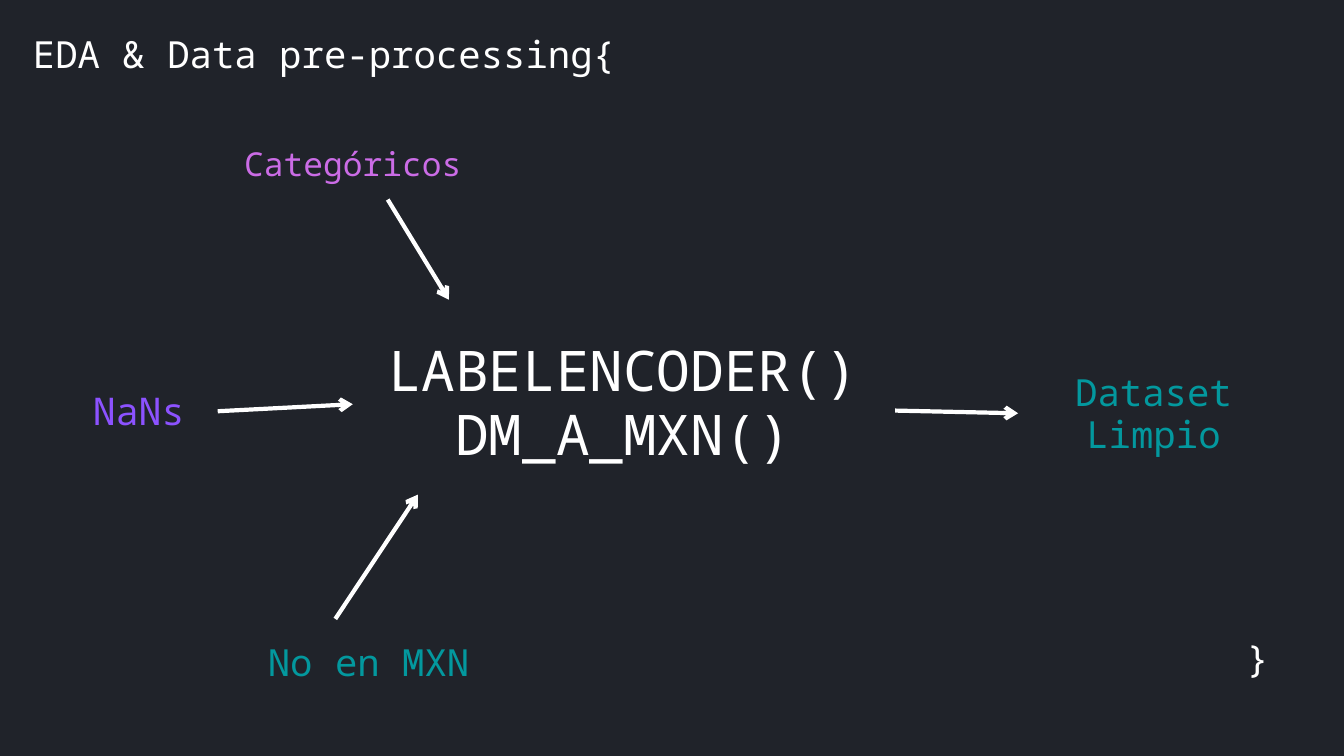
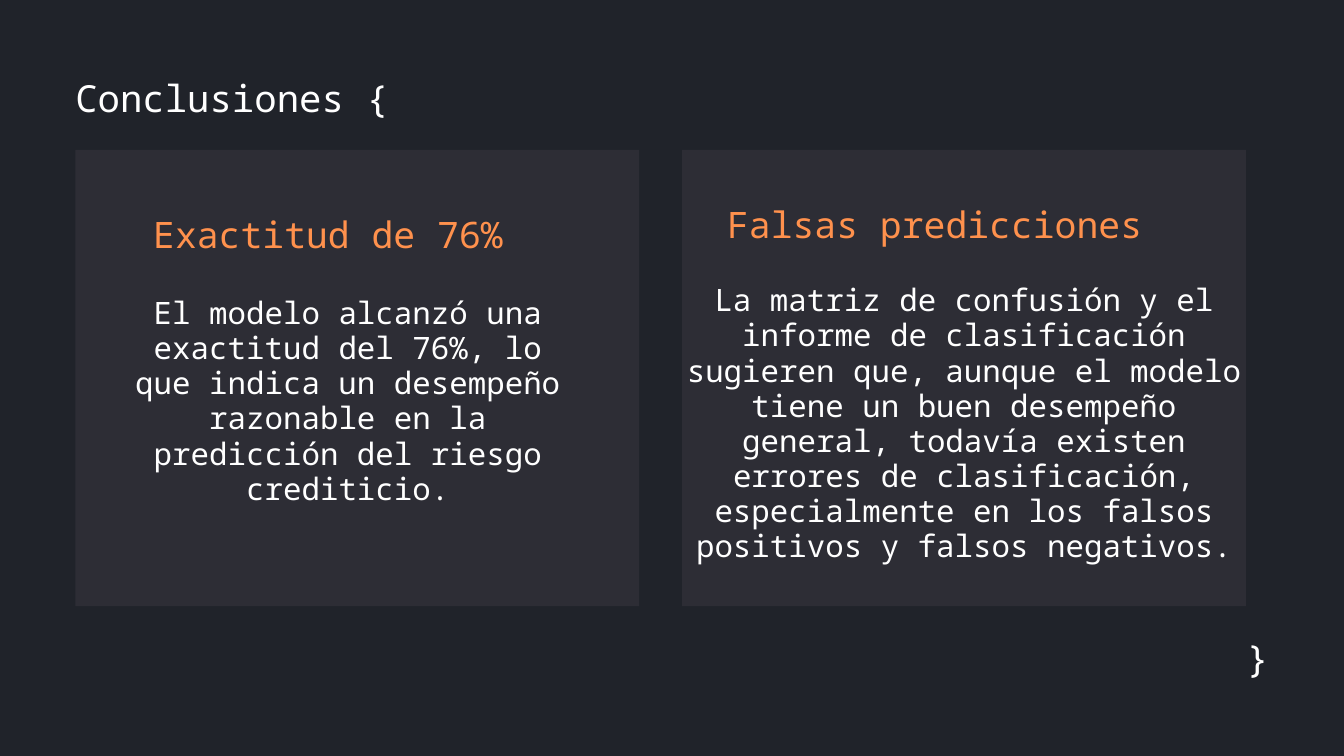
import pptx
import pptx.util
from lxml import etree
from pptx.dml.color import RGBColor
from pptx.enum.shapes import MSO_CONNECTOR, MSO_SHAPE
from pptx.enum.text import MSO_ANCHOR, MSO_AUTO_SIZE, PP_ALIGN
from pptx.oxml.ns import qn

Inches, Pt = pptx.util.Inches, pptx.util.Pt

FONT = "Noto Sans Mono"
COLORS = {
    "background": "20232A",
    "panel": "2D2D35",
    "white": "FFFFFF",
    "violet": "8C52FF",
    "pink": "CB6CE6",
    "teal": "03989E",
    "orange": "FF914D",
}
LINE_RATIO = 1.14
HEADING_RATIO = 1.19

# Boxes are (left, top, width, height) in inches.
CLOSING_BRACE_BOX = (18.11, 9.49, 0.77, 0.64)

PIPELINE_TITLE = ("EDA & Data pre-processing{", (0.49, 0.49, 9.51, 0.64))
PIPELINE_LABELS = {  # name: (lines, box, size, color)
    "functions": (["LABELENCODER()", "DM_A_MXN()"], (5.25, 5.05, 8.05, 1.93), 60, "white"),
    "missing": (["NaNs"], (0, 5.8, 4.13, 0.66), 40.9, "violet"),
    "result": (["Dataset", "Limpio"], (15.15, 5.52, 4.03, 1.26), 40, "teal"),
    "categorical": (["Categóricos"], (3.47, 2.16, 3.56, 0.57), 35.3, "pink"),
    "currency": (["No en MXN"], (3.47, 9.54, 4.03, 0.64), 40, "teal"),
}
PIPELINE_ARROWS = [  # start, end, label whose left side the arrow joins
    ((5.77, 2.97), (6.68, 4.46), None),
    ((3.24, 6.12), (5.25, 6), "functions"),
    ((4.99, 9.21), (6.22, 7.36), None),
    ((13.32, 6.11), (15.15, 6.14), "result"),
]

CONCLUSIONS_TITLE = ("Conclusiones {", (1.12, 1.15, 7.69, 0.64))
PANEL_LEFT, PANEL_TOP, PANEL_WIDTH, PANEL_HEIGHT = 1.12, 2.23, 8.39, 6.79
PANEL_GAP = 0.64
CONCLUSIONS = [  # heading, heading box, body, body box
    (
        "Exactitud de 76%",
        (2.28, 3.16, 6.85, 0.64),
        "El modelo alcanzó una exactitud del 76%, lo que indica un desempeño "
        "razonable en la predicción del riesgo crediticio.",
        (1.75, 4.4, 6.85, 3.14),
    ),
    (
        "Falsas predicciones",
        (10.82, 3.02, 6.77, 0.64),
        "La matriz de confusión y el informe de clasificación sugieren que, "
        "aunque el modelo tiene un buen desempeño general, todavía existen "
        "errores de clasificación, especialmente en los falsos positivos y "
        "falsos negativos.",
        (10.15, 4.21, 8.39, 4.7),
    ),
]


def rgb(name):
    return RGBColor.from_string(COLORS[name])


def inches(values):
    return [Inches(value) for value in values]


def write(shape, lines, size, color, align, ratio=LINE_RATIO):
    frame = shape.text_frame
    frame.text = "\n".join(lines)
    frame.word_wrap = True
    frame.auto_size = MSO_AUTO_SIZE.NONE
    frame.vertical_anchor = MSO_ANCHOR.TOP
    frame.margin_left = frame.margin_right = frame.margin_top = frame.margin_bottom = 0
    for paragraph in frame.paragraphs:
        paragraph.alignment = align
        paragraph.line_spacing = Pt(size * ratio)
        paragraph.space_before = Pt(0)
        paragraph.font.name = FONT
        paragraph.font.size = Pt(size)
        paragraph.font.color.rgb = rgb(color)


def add_text(slide, lines, box, size, color, align=PP_ALIGN.CENTER, ratio=LINE_RATIO):
    shape = slide.shapes.add_textbox(*inches(box))
    write(shape, lines, size, color, align, ratio)
    return shape


def add_arrow(slide, start, end, target=None):
    arrow = slide.shapes.add_connector(MSO_CONNECTOR.STRAIGHT, *inches(start + end))
    if target is not None:
        arrow.end_connect(target, 1)
    arrow.line.color.rgb = rgb("white")
    arrow.line.width = Pt(4.5)
    etree.SubElement(arrow.line._get_or_add_ln(), qn("a:tailEnd"), type="arrow")
    etree.SubElement(arrow._element.spPr, qn("a:effectLst"))


def add_panel(slide, index):
    left = PANEL_LEFT + index * (PANEL_WIDTH + PANEL_GAP)
    panel = slide.shapes.add_shape(
        MSO_SHAPE.RECTANGLE, *inches((left, PANEL_TOP, PANEL_WIDTH, PANEL_HEIGHT))
    )
    panel.shadow.inherit = False
    panel.fill.solid()
    panel.fill.fore_color.rgb = rgb("panel")
    panel.line.fill.background()


def add_slide(presentation, title_text, title_box):
    """Add a slide with its code-style title and closing brace."""
    slide = presentation.slides.add_slide(presentation.slide_layouts[5])
    title = slide.shapes.title
    title.left, title.top, title.width, title.height = inches(title_box)
    write(title, [title_text], 40, "white", PP_ALIGN.LEFT)
    add_text(slide, ["}"], CLOSING_BRACE_BOX, 40, "white", PP_ALIGN.RIGHT)
    return slide


def build_pipeline(presentation):
    slide = add_slide(presentation, *PIPELINE_TITLE)
    labels = {name: add_text(slide, *label) for name, label in PIPELINE_LABELS.items()}
    for start, end, target in PIPELINE_ARROWS:
        add_arrow(slide, start, end, labels.get(target))


def build_conclusions(presentation):
    slide = add_slide(presentation, *CONCLUSIONS_TITLE)
    for index, (heading, heading_box, body, body_box) in enumerate(CONCLUSIONS):
        add_panel(slide, index)
        add_text(slide, [heading], heading_box, 39, "orange", PP_ALIGN.LEFT, HEADING_RATIO)
        add_text(slide, [body], body_box, 33, "white")


def main():
    presentation = pptx.Presentation()
    presentation.slide_width = Inches(20)
    presentation.slide_height = Inches(11.25)
    background = presentation.slide_master.background.fill
    background.solid()
    background.fore_color.rgb = rgb("background")
    build_pipeline(presentation)
    build_conclusions(presentation)
    presentation.save("out.pptx")


if __name__ == "__main__":
    main()
